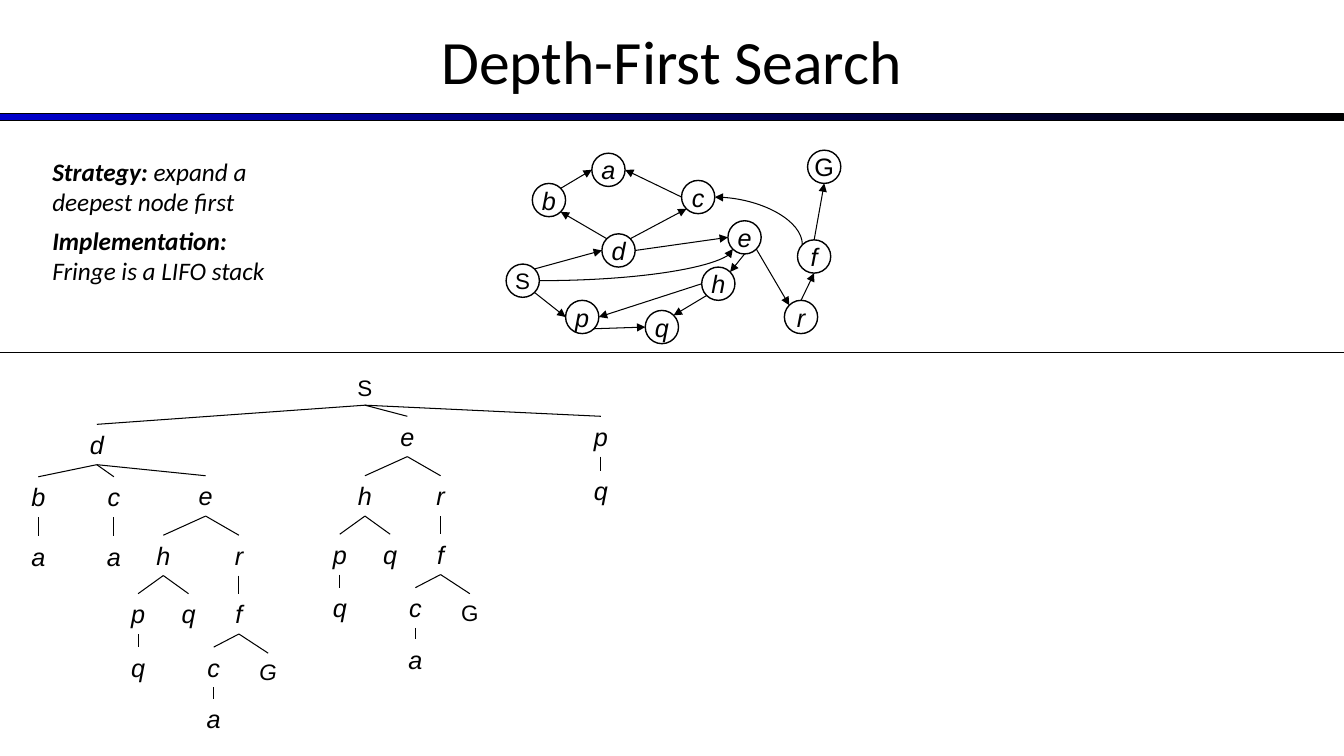
from dataclasses import dataclass, field
from math import cos, radians, sin

from lxml.etree import SubElement
from pptx import Presentation
from pptx.dml.color import RGBColor
from pptx.enum.shapes import MSO_CONNECTOR, MSO_SHAPE
from pptx.enum.text import MSO_ANCHOR, MSO_AUTO_SIZE, PP_ALIGN
from pptx.oxml.ns import qn
from pptx.util import Inches, Pt


@dataclass
class Theme:
    ink: RGBColor = RGBColor(0, 0, 0)
    blue: RGBColor = RGBColor(0, 0, 0xCC)
    thin: Pt = Pt(0.75)
    ring: Pt = Pt(1)
    fonts: dict = field(default_factory=lambda: {
        "title": dict(name="Calibri", size=Pt(44)),
        "head": dict(name="Calibri", size=Pt(18), bold=True, italic=True),
        "body": dict(name="Calibri", size=Pt(18), bold=False, italic=True),
        "state": dict(name="Arial", size=Pt(18), italic=True),
        "target": dict(name="Arial", size=Pt(18)),
        "end": dict(name="Arial", size=Pt(16)),
        "slant": dict(name="Arial", size=Pt(16), italic=True),
    })


THEME = Theme()


@dataclass
class Node:
    """A tree node, placed relative to its parent."""
    name: str
    dx: float
    dy: float
    kids: tuple = ()
    style: str = "state"


def expand(style):
    """Return the children of e, which occurs twice in the tree."""
    goal = Node("G", 0.29, 0.59, style=style)
    c = Node("c", -0.25, 0.53, (Node("a", 0, 0.51),))
    p = Node("p", -0.25, 0.58, (Node("q", 0, 0.53),))
    h = Node("h", -0.42, 0.59, (p, Node("q", 0.25, 0.58)))
    f = Node("f", 0, 0.58, (c, goal))
    return h, Node("r", 0.33, 0.59, (f,))


LEAF = (Node("a", 0, 0.59),)
TREE = Node("S", 3.62, 3.66, (
    Node("d", -2.66, 0.55, (
        Node("b", -0.58, 0.52, LEAF),
        Node("c", 0.17, 0.52, LEAF),
        Node("e", 1.08, 0.51, expand("slant")),
    )),
    Node("e", 0.42, 0.47, expand("end")),
    Node("p", 2.34, 0.47, (Node("q", 0, 0.54),)),
), "end")

SIZE = 0.33
STATES = {
    "S": (5.02, 2.62), "G": (8.01, 1.49), "d": (5.97, 2.32), "b": (5.28, 1.82),
    "p": (5.61, 2.98), "q": (6.4, 3.08), "c": (6.76, 1.79), "e": (7.22, 2.19),
    "h": (6.96, 2.65), "a": (5.87, 1.52), "f": (7.91, 2.38), "r": (7.78, 2.98),
}
ANGLES = {side: 45 * i for i, side in
          enumerate(("E", "SE", "S", "SW", "W", "NW", "N", "NE"))}
EDGES = (
    ("S", "SE", "p", "W"), ("p", "SE", "q", "W"), ("h", "SW", "q", "NE"),
    ("h", "W", "p", "E"), ("e", "S", "h", "NE"), ("e", "SE", "r", "NW"),
    ("r", "N", "f", "S"), ("f", "N", "G", "S"), ("S", "NE", "d", "W"),
    ("d", "NW", "b", "SE"), ("b", "NE", "a", "W"), ("c", "W", "a", "E"),
    ("d", "NE", "c", "SW"), ("d", "E", "e", "W"),
)
STRATEGY = (
    (("Strategy:", "head"), (" expand a deepest node first", "body")),
    (("Implementation: ", "head"), ("Fringe is a LIFO stack", "body")),
)


def write(par, text, style):
    run = par.add_run()
    run.text = text
    for key, value in THEME.fonts[style].items():
        setattr(run.font, key, value)
    run.font.color.rgb = THEME.ink


def trace(line, width):
    line.color.rgb = THEME.ink
    line.width = width


def add_text(slide, box, lines, align=PP_ALIGN.LEFT, **form):
    shape = slide.shapes.add_textbox(*map(Inches, box))
    frame = shape.text_frame
    for key, value in {"word_wrap": True, **form}.items():
        setattr(frame, key, value)
    for i, runs in enumerate(lines):
        par = frame.add_paragraph() if i else frame.paragraphs[0]
        par.alignment = align
        if i:
            par.space_before = Pt(6)
        for text, style in runs:
            write(par, text, style)
    return shape


def add_line(slide, start, end, kind=MSO_CONNECTOR.STRAIGHT, arrow=False):
    line = slide.shapes.add_connector(kind, *map(Inches, (*start, *end)))
    trace(line.line, THEME.thin)
    props = line.element.spPr
    if arrow:
        SubElement(props.find(qn("a:ln")), qn("a:tailEnd"), type="triangle")
    SubElement(props, qn("a:effectLst"))
    return line


def add_curve(slide, start, end, upright=False):
    """Draw a one-bend arrow; an upright one leaves its start vertically."""
    if upright:
        (x1, y1), (x2, y2) = start, end
        mid_x, mid_y = (x1 + x2) / 2, (y1 + y2) / 2
        half_x, half_y = (x2 - x1) / 2, (y2 - y1) / 2
        start = mid_x - half_y, mid_y + half_x
        end = mid_x + half_y, mid_y - half_x
    props = add_line(slide, start, end, MSO_CONNECTOR.CURVE, True).element.spPr
    props.find(qn("a:prstGeom")).set("prst", "curvedConnector2")
    if upright:
        props.find(qn("a:xfrm")).set("rot", str(90 * 60000))


def add_bar(slide):
    bar = slide.shapes.add_shape(
        MSO_SHAPE.RECTANGLE, 0, Inches(1.13), Inches(13.33), Inches(0.07))
    bar.shadow.inherit = False
    bar.fill.gradient()
    bar.fill.gradient_angle = 0
    for stop, color in zip(bar.fill.gradient_stops, (THEME.blue, THEME.ink)):
        stop.color.rgb = color
    trace(bar.line, THEME.thin)


def add_tree(slide, node, x=0, y=0):
    x, y = x + node.dx, y + node.dy
    wide, high = (0.42, 0.4) if node.style == "state" else (0.83, 0.36)
    box = add_text(slide, (x - wide / 2, y, wide, high),
                   [[(node.name, node.style)]], PP_ALIGN.CENTER,
                   auto_size=MSO_AUTO_SIZE.SHAPE_TO_FIT_TEXT)
    for kid in node.kids:
        child = add_tree(slide, kid, x, y)
        edge = add_line(slide, (x, y), (x, y))
        edge.begin_connect(box, 2)
        edge.end_connect(child, 0)
    return box


def add_state(slide, name, spot):
    ring = slide.shapes.add_shape(
        MSO_SHAPE.FLOWCHART_CONNECTOR, *map(Inches, (*spot, SIZE, SIZE)))
    ring.shadow.inherit = False
    ring.fill.background()
    trace(ring.line, THEME.ring)
    frame = ring.text_frame
    frame.word_wrap = False
    frame.vertical_anchor = MSO_ANCHOR.MIDDLE
    par = frame.paragraphs[0]
    par.alignment = PP_ALIGN.CENTER
    write(par, name, {"S": "end", "G": "target"}.get(name, "state"))


def rim(name, side):
    """Return the point on a state's circle at a compass side."""
    x, y = STATES[name]
    angle, half = radians(ANGLES[side]), SIZE / 2
    return x + half + half * cos(angle), y + half + half * sin(angle)


def add_graph(slide):
    for name, spot in STATES.items():
        add_state(slide, name, spot)
    for tail, out, head, into in EDGES:
        add_line(slide, rim(tail, out), rim(head, into), arrow=True)
    add_curve(slide, rim("f", "NW"), rim("c", "E"), upright=True)
    add_curve(slide, rim("S", "E"), rim("e", "SW"))


def main():
    deck = Presentation()
    deck.slide_width, deck.slide_height = Inches(13.33), Inches(7.5)
    slide = deck.slides.add_slide(deck.slide_layouts[6])
    add_bar(slide)
    add_text(slide, (0, -0.03, 13.33, 1.25), [[("Depth-First Search", "title")]],
             PP_ALIGN.CENTER, vertical_anchor=MSO_ANCHOR.MIDDLE)
    add_tree(slide, TREE)
    add_graph(slide)
    add_line(slide, (0, 3.5), (13.33, 3.5))
    add_text(slide, (0.42, 1.5, 2.49, 1.98), STRATEGY)
    deck.save("out.pptx")


if __name__ == "__main__":
    main()
